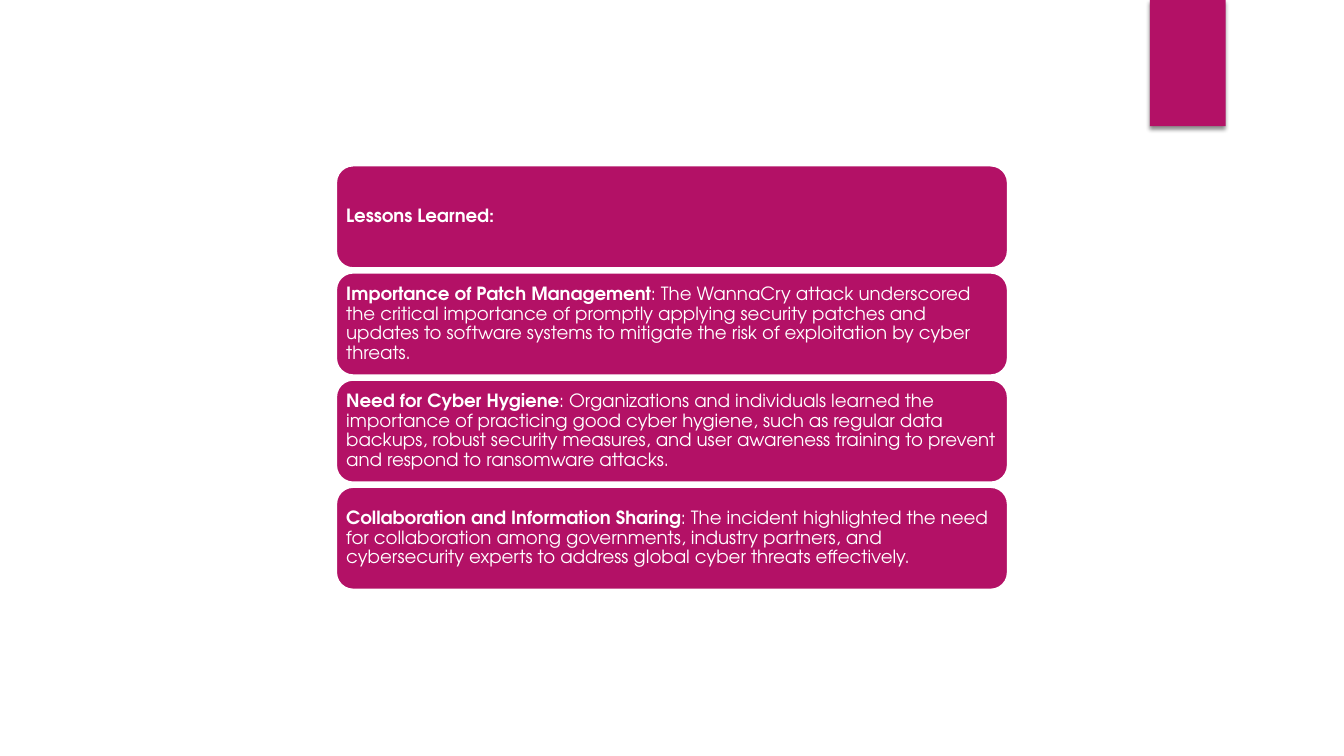
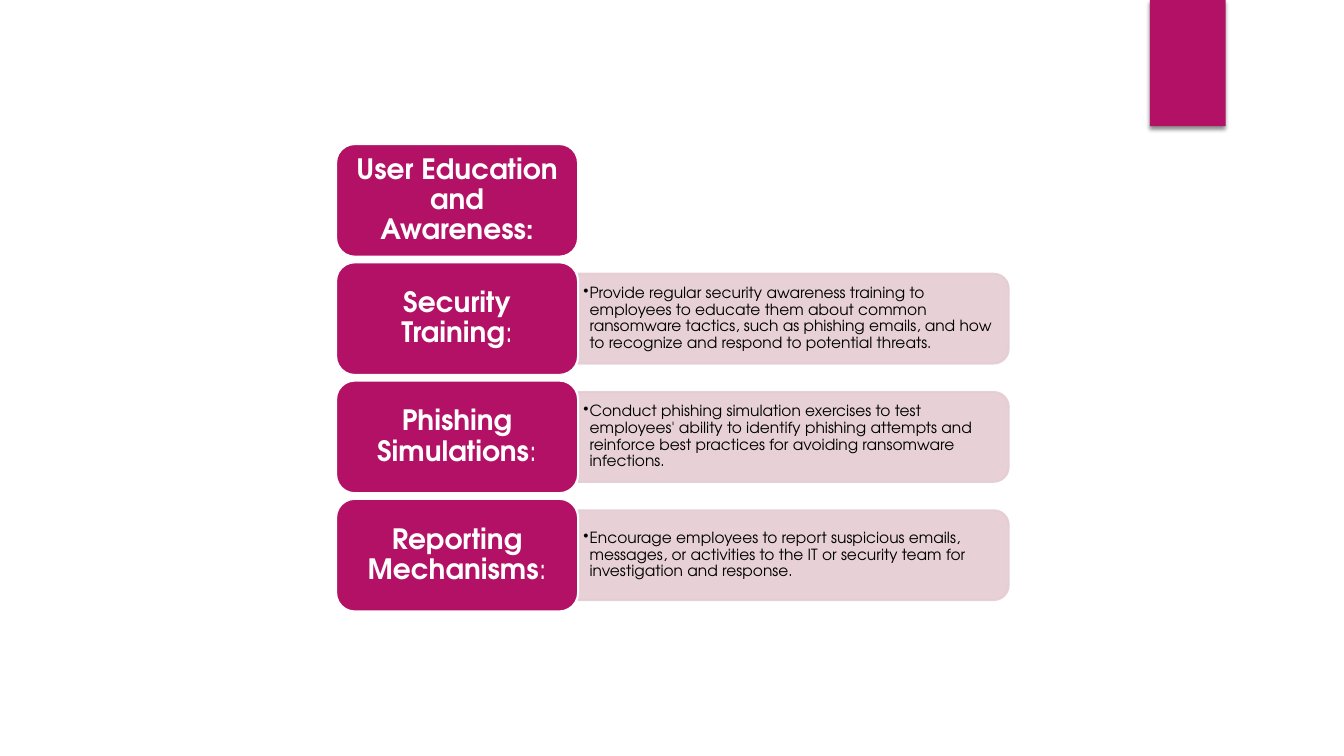
"""Build two slides on ransomware lessons and user awareness."""
from pptx import Presentation
from pptx.dml.color import RGBColor
from pptx.enum.shapes import MSO_SHAPE
from pptx.enum.text import MSO_ANCHOR, PP_ALIGN
from pptx.oxml import parse_xml
from pptx.oxml.ns import nsdecls, qn
from pptx.util import Cm, Pt

FONT = "TeX Gyre Adventor"
MAGENTA, PINK, WHITE, BLACK = "B31166", "E5CCD3", "FFFFFF", "000000"
LEFT = 8.47

LESSONS = [
    ("Lessons Learned:", ""),
    ("Importance of Patch Management",
     ": The WannaCry attack underscored the critical importance of promptly "
     "applying security patches and updates to software systems to mitigate "
     "the risk of exploitation by cyber threats."),
    ("Need for Cyber Hygiene",
     ": Organizations and individuals learned the importance of practicing "
     "good cyber hygiene, such as regular data backups, robust security "
     "measures, and user awareness training to prevent and respond to "
     "ransomware attacks."),
    ("Collaboration and Information Sharing",
     ": The incident highlighted the need for collaboration among "
     "governments, industry partners, and cybersecurity experts to address "
     "global cyber threats effectively."),
]

TOPICS = [
    ("User Education and Awareness:", "", ""),
    ("Security Training", ":",
     "Provide regular security awareness training to employees to educate "
     "them about common ransomware tactics, such as phishing emails, and how "
     "to recognize and respond to potential threats."),
    ("Phishing Simulations", ":",
     "Conduct phishing simulation exercises to test employees' ability to "
     "identify phishing attempts and reinforce best practices for avoiding "
     "ransomware infections."),
    ("Reporting Mechanisms", ":",
     "Encourage employees to report suspicious emails, messages, or "
     "activities to the IT or security team for investigation and response."),
]


def rgb(color):
    """Return the colour for a hex string."""
    return RGBColor.from_string(color)


def add_box(slide, kind, x, y, w, h, fill, line=None):
    """Add a flat preset shape, with an outline if a line colour is given."""
    sp = slide.shapes.add_shape(kind, Cm(x), Cm(y), Cm(w), Cm(h))
    sp.shadow.inherit = False
    sp.fill.solid()
    sp.fill.fore_color.rgb = rgb(fill)
    if line:
        sp.line.color.rgb = rgb(line)
        sp.line.width = Pt(1.5)
    else:
        sp.line.fill.background()
    return sp


def write(sp, runs, size, color, insets, align=PP_ALIGN.LEFT):
    """Fill a shape with one paragraph of (text, bold) runs and return it."""
    tf = sp.text_frame
    tf.word_wrap = True
    tf.vertical_anchor = MSO_ANCHOR.MIDDLE
    tf.margin_left = tf.margin_right = Cm(insets[0])
    tf.margin_top = tf.margin_bottom = Cm(insets[1])
    p = tf.paragraphs[0]
    p.alignment = align
    p.line_spacing = 0.9
    for text, bold in runs:
        if text:
            r = p.add_run()
            r.text = text
            r.font.name = FONT
            r.font.size = Pt(size)
            r.font.bold = bold
            r.font.color.rgb = rgb(color)
    return p


def set_bullet(p, indent):
    """Give a paragraph a round bullet with a hanging indent."""
    pPr = p._p.get_or_add_pPr()
    pPr.set("marL", str(Cm(indent)))
    pPr.set("indent", str(-Cm(indent)))
    pPr.append(parse_xml(f'<a:buChar {nsdecls("a")} char="•"/>'))


def set_opacity(sp, percent):
    """Make the fill and outline of a shape partly transparent."""
    for clr in sp.element.spPr.iter(qn("a:srgbClr")):
        clr.append(parse_xml(
            f'<a:alpha {nsdecls("a")} val="{percent * 1000}"/>'))


def set_shadow(sp):
    """Give a shape a soft shadow below it."""
    effects = sp.element.spPr.find(qn("a:effectLst"))
    effects.append(parse_xml(
        f'<a:outerShdw {nsdecls("a")} blurRad="{Pt(3)}" dist="{Pt(2)}" '
        f'dir="5400000" rotWithShape="0"><a:srgbClr val="{BLACK}">'
        '<a:alpha val="45000"/></a:srgbClr></a:outerShdw>'))


def add_slide(prs):
    """Add a blank slide with the shared corner band."""
    slide = prs.slides.add_slide(prs.slide_layouts[6])
    band = add_box(slide, MSO_SHAPE.RECTANGLE, 28.98, 0, 1.91, 3.18, MAGENTA)
    set_shadow(band)
    return slide


def add_lesson(slide, y, heading, body):
    """Add a wide card with a bold heading and its explanation."""
    sp = add_box(slide, MSO_SHAPE.ROUNDED_RECTANGLE,
                 LEFT, y, 16.93, 2.59, MAGENTA, WHITE)
    write(sp, [(heading, True), (body, False)], 13, WHITE, (0.13, 0.13))


def add_detail(slide, x, middle, text):
    """Add a pale panel, rounded on its right, with a bulleted text."""
    w, h = 10.85, 2.26
    sp = add_box(slide, MSO_SHAPE.ROUND_2_SAME_RECTANGLE,
                 x + (w - h) / 2, middle - w / 2, h, w, PINK, PINK)
    sp.rotation = 90
    set_opacity(sp, 90)
    tb = slide.shapes.add_textbox(
        Cm(x), Cm(middle - 1.03), Cm(10.72), Cm(2.06))
    p = write(tb, [(text, False)], 11, BLACK, (0.13, 0.05))
    set_bullet(p, 0.16)


def add_topic(slide, y, heading, colon, detail):
    """Add a topic card, with a detail panel beside it if it has one."""
    w, h = 6.1, 2.84
    if detail:
        add_detail(slide, LEFT + w, y + h / 2, detail)
    sp = add_box(slide, MSO_SHAPE.ROUNDED_RECTANGLE,
                 LEFT, y, w, h, MAGENTA, WHITE)
    write(sp, [(heading, True), (colon, False)], 20, WHITE, (0.2, 0.1),
          PP_ALIGN.CENTER)


def main():
    """Build and save the presentation."""
    prs = Presentation()
    prs.slide_width, prs.slide_height = Cm(33.87), Cm(19.05)
    slide = add_slide(prs)
    for i, lesson in enumerate(LESSONS):
        add_lesson(slide, 4.17 + i * 2.7, *lesson)
    slide = add_slide(prs)
    for i, topic in enumerate(TOPICS):
        add_topic(slide, 3.63 + i * 2.98, *topic)
    prs.save("out.pptx")


if __name__ == "__main__":
    main()
